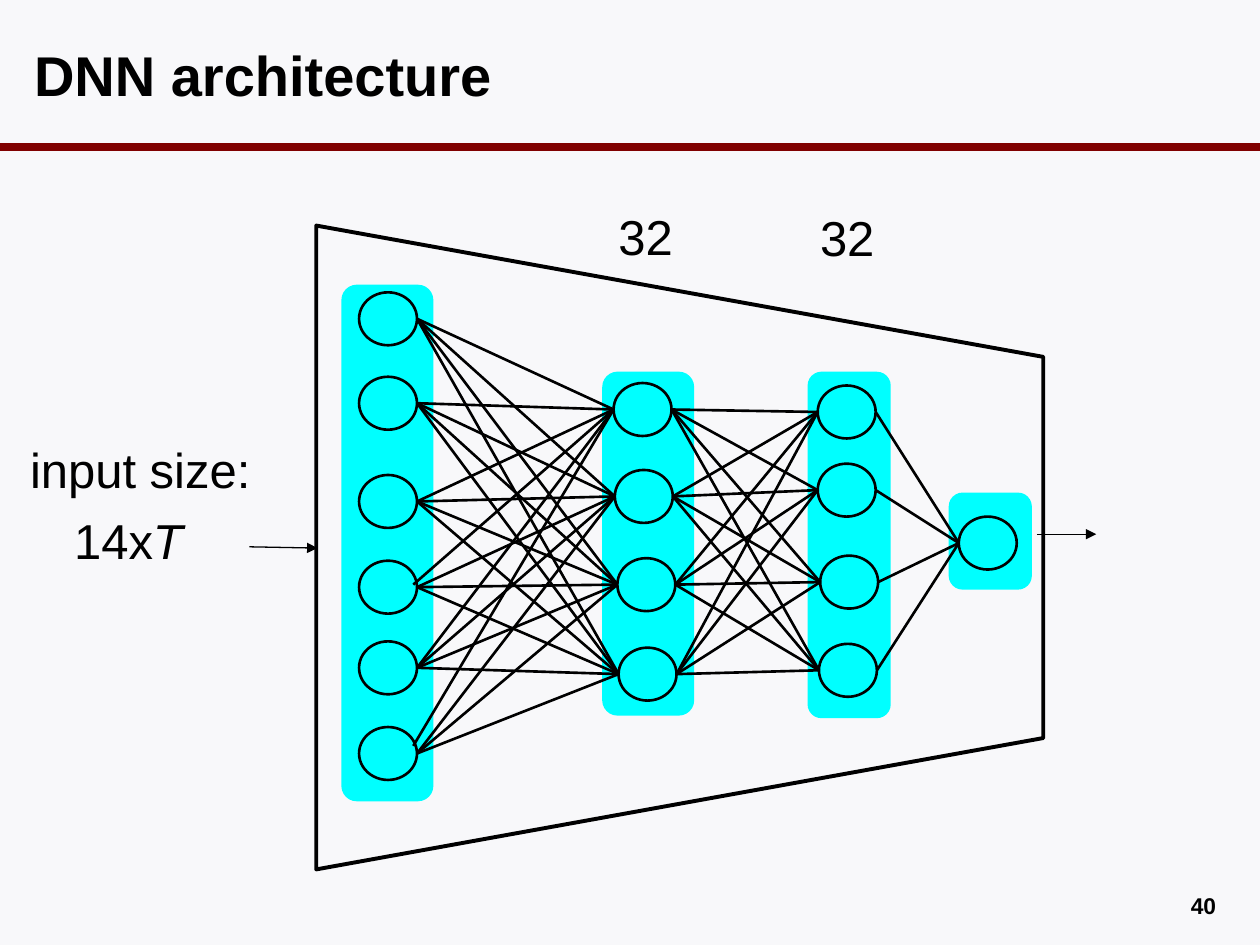
import itertools
import pptx
import pptx.util
import pptx.dml.color
import pptx.enum.shapes
import pptx.enum.text
import pptx.oxml.ns
import lxml.etree

deck = pptx.Presentation()
deck.slide_width = pptx.util.Inches(10)
deck.slide_height = pptx.util.Inches(7.5)
slide = deck.slides.add_slide(deck.slide_layouts[5])

# Grid of 100 columns by 75 rows
col = deck.slide_width / 100
row = deck.slide_height / 75
INK, CYAN, MAROON = "000000", "00FFFF", "800000"
SHAPES = pptx.enum.shapes.MSO_SHAPE
ALIGN = pptx.enum.text.PP_ALIGN


def paint(target, color):
    if hasattr(target, "solid"):
        target.solid()
        target = target.fore_color
    target.rgb = pptx.dml.color.RGBColor.from_string(color)


def link(start, end, color=INK, weight=1.5, arrow=False):
    line = slide.shapes.add_connector(
        pptx.enum.shapes.MSO_CONNECTOR.STRAIGHT,
        int(start[0] * col), int(start[1] * row),
        int(end[0] * col), int(end[1] * row))
    paint(line.line.color, color)
    line.line.width = pptx.util.Pt(weight)
    props = line._element.spPr
    if arrow:
        lxml.etree.SubElement(props.find(pptx.oxml.ns.qn("a:ln")),
                              pptx.oxml.ns.qn("a:tailEnd"), type="triangle")
    lxml.etree.SubElement(props, pptx.oxml.ns.qn("a:effectLst"))


# Background and rule under the title
paint(slide.background.fill, "F8F8FA")
link((0, 11.7), (100, 11.7), MAROON, 4.5)

# Arrows into and out of the network
link((19.8, 43.4), (25.2, 43.5), weight=0.75, arrow=True)
link((82.3, 42.4), (87, 42.4), weight=0.75, arrow=True)

# Layer panels, network outline and neurons: kind, left, top, width, height
neuron_w, neuron_h = 4.6, 4.2
input_layer = [(28.5, top) for top in (23.2, 29.9, 37.7, 44.5, 50.9, 57.7)]
hidden_1 = [(48.7, 30.4), (48.8, 37.3), (49, 44.3), (49.1, 51.4)]
hidden_2 = [(64.9, 30.6), (64.9, 36.8), (65.1, 44.1), (65, 51.1)]
output_layer = [(76.1, 41)]
layers = [input_layer, hidden_1, hidden_2, output_layer]

parts = [
    (SHAPES.ROUNDED_RECTANGLE, 27.1, 22.6, 7.3, 41),
    (SHAPES.ROUNDED_RECTANGLE, 47.8, 29.5, 7.3, 27.3),
    (SHAPES.ROUNDED_RECTANGLE, 64.1, 29.5, 6.6, 27.5),
    (SHAPES.ROUNDED_RECTANGLE, 75.3, 39.1, 6.6, 7.7),
    (SHAPES.TRAPEZOID, 28.4, 14.6, 51.1, 57.7),
]
parts += [(SHAPES.OVAL, left, top, neuron_w, neuron_h)
          for left, top in itertools.chain(*layers)]
for kind, left, top, width, height in parts:
    part = slide.shapes.add_shape(kind, int(left * col), int(top * row),
                                  int(width * col), int(height * row))
    part.shadow.inherit = False
    if kind == SHAPES.ROUNDED_RECTANGLE:
        part.adjustments[0] = 0.167
        paint(part.fill, CYAN)
        part.line.fill.background()
        continue
    part.fill.background()
    paint(part.line.color, INK)
    part.line.width = pptx.util.Pt(1.5)
    if kind == SHAPES.TRAPEZOID:
        part.adjustments[0] = 0.204
        part.rotation = 90
        part.line.width = pptx.util.Pt(2.25)

# Full connections between neighbouring layers, two of them starting off-centre
shifted_starts = {(input_layer[3], hidden_1[0]): (32.8, 46.4),
                  (input_layer[5], hidden_1[0]): (32.8, 59.2)}
for sources, targets in itertools.pairwise(layers):
    for source, target in itertools.product(sources, targets):
        start = (source[0] + neuron_w, source[1] + neuron_h / 2)
        link(shifted_starts.get((source, target), start),
             (target[0], target[1] + neuron_h / 2))

# Title, labels and page number: box, place, alignment, runs, font
label_font = {"size": pptx.util.Pt(28), "bold": False}
title_font = {"size": pptx.util.Pt(32), "bold": True}
page_font = {"size": pptx.util.Pt(13), "bold": True}
texts = [
    (slide.shapes.title, (1.7, 1.7, 95.6, 8.3), ALIGN.LEFT,
     ["DNN architecture"], title_font),
    (None, (74.2, 70.3, 23.3, 2.7), ALIGN.RIGHT, ["40"], page_font),
    (None, (48.1, 15.9, 6.9, 5.7), ALIGN.LEFT, ["32"], label_font),
    (None, (64.1, 16, 6.9, 5.7), ALIGN.LEFT, ["32"], label_font),
    (None, (1.7, 40, 17, 5.7), ALIGN.CENTER, ["14x", "T"], label_font),
    (None, (1.4, 34.4, 20.3, 5.7), ALIGN.LEFT, ["input size:"], label_font),
]
for box, (left, top, width, height), align, runs, font in texts:
    place = {"left": int(left * col), "top": int(top * row),
             "width": int(width * col), "height": int(height * row)}
    box = box or slide.shapes.add_textbox(**place)
    for name, value in place.items():
        setattr(box, name, value)
    frame = box.text_frame
    frame.word_wrap = True
    if box.is_placeholder:
        frame.vertical_anchor = pptx.enum.text.MSO_ANCHOR.MIDDLE
    paragraph = frame.paragraphs[0]
    paragraph.alignment = align
    for words in runs:
        run = paragraph.add_run()
        run.text = words
        for name, value in {"name": "Arial", "italic": words == "T", **font}.items():
            setattr(run.font, name, value)
        paint(run.font.color, INK)

deck.save("out.pptx")
